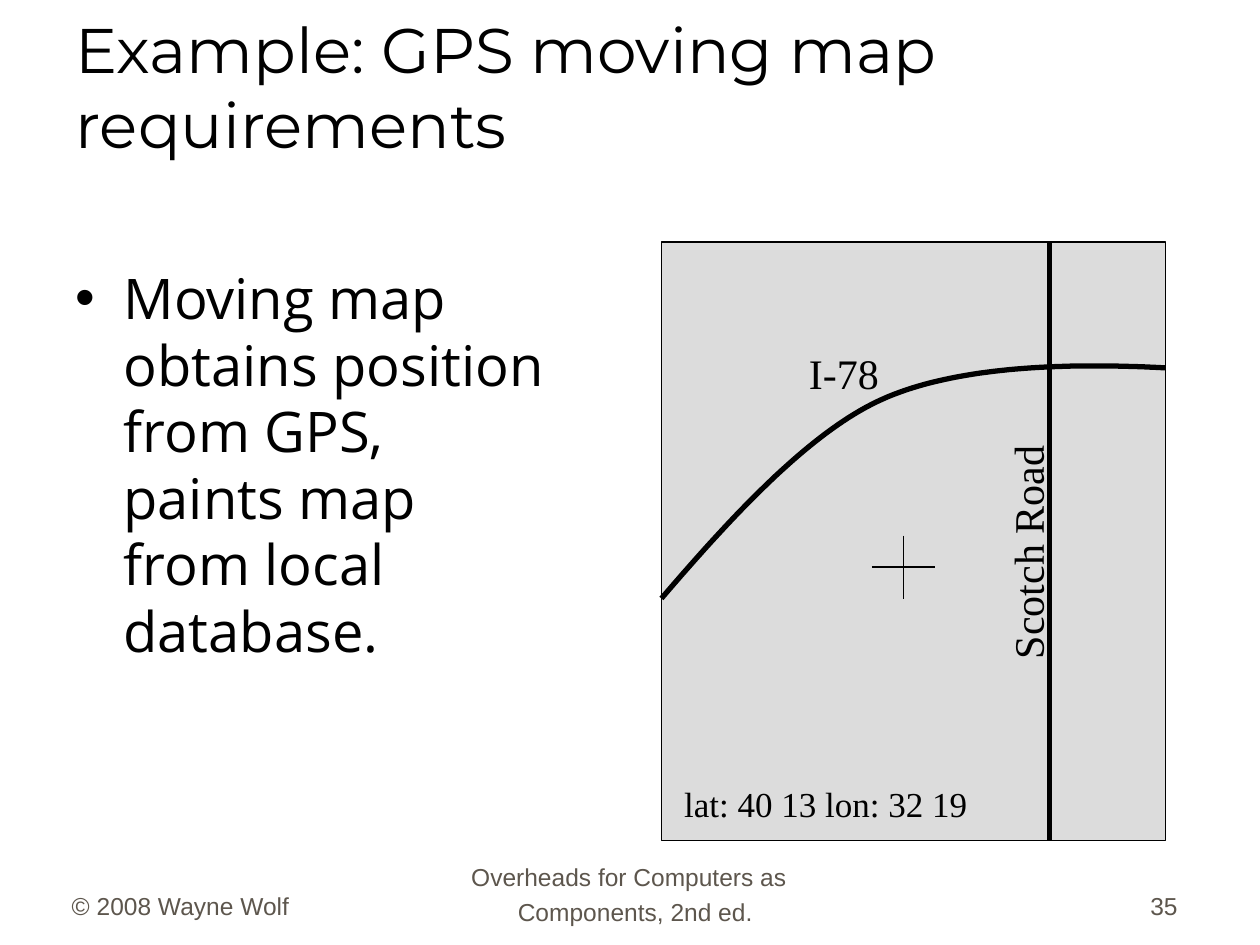
import pptx
import pptx.util
import pptx.dml.color
import pptx.enum.shapes
import pptx.enum.text
import pptx.oxml
import pptx.oxml.ns

BLACK = pptx.dml.color.RGBColor(0x00, 0x00, 0x00)
GREY = pptx.dml.color.RGBColor(0xDC, 0xDC, 0xDC)
BROWN = pptx.dml.color.RGBColor(0x5D, 0x56, 0x4D)

WIDTH, HEIGHT = 10, 7.5
MAP_LEFT, MAP_TOP, MAP_WIDTH, MAP_HEIGHT = 5.25, 1.92, 4, 4.75
MAP_RIGHT, MAP_BOTTOM = MAP_LEFT + MAP_WIDTH, MAP_TOP + MAP_HEIGHT
ROAD_X = 8.33
CROSS_X, CROSS_Y, CROSS_ARM = 7.17, 4.5, 0.25
HIGHWAY = [
    [(MAP_LEFT, 4.75), (5.79, 4.12), (6.42, 3.43), (7, 3.17)],
    [(7, 3.17), (7.6, 2.9), (8.5, 2.88), (MAP_RIGHT, 2.92)],
]

TITLE = dict(name="Montserrat", size=36, color=BLACK)
BODY = dict(name="Open Sans", size=32, color=BLACK)
ROAD_LABEL = dict(name="Times New Roman", size=24, color=BLACK)
POSITION = dict(name="Times New Roman", size=20, color=BLACK)
FOOTER = dict(name="Arial", size=14, color=BROWN)


def inches(*values):
    return [pptx.util.Inches(v) for v in values]


def write(sp, text, font, box, wrap=True, indent=(0, 0), spacing=1.0):
    sp.left, sp.top, sp.width, sp.height = inches(*box)
    tf = sp.text_frame
    frame = dict(margin_left=0, margin_top=0, margin_right=0, margin_bottom=0,
                 word_wrap=wrap, auto_size=pptx.enum.text.MSO_AUTO_SIZE.NONE,
                 vertical_anchor=pptx.enum.text.MSO_ANCHOR.TOP)
    for key, value in frame.items():
        setattr(tf, key, value)
    p = tf.paragraphs[0]
    paragraph = dict(alignment=pptx.enum.text.PP_ALIGN.LEFT,
                     space_before=pptx.util.Pt(0), line_spacing=spacing)
    for key, value in paragraph.items():
        setattr(p, key, value)
    pPr = p._p.get_or_add_pPr()
    for key, value in zip(("marL", "indent"), inches(*indent)):
        pPr.set(key, str(value))
    r = p.add_run()
    r.text = text
    for key, value in dict(name=font["name"], size=pptx.util.Pt(font["size"]),
                           bold=False).items():
        setattr(r.font, key, value)
    r.font.color.rgb = font["color"]
    return sp


def add_label(s, text, font, box, **options):
    return write(s.shapes.add_textbox(*inches(*box)), text, font, box, **options)


def add_line(s, start, end, weight):
    sp = s.shapes.add_connector(pptx.enum.shapes.MSO_CONNECTOR.STRAIGHT,
                                *inches(*start, *end))
    sp.line.color.rgb = BLACK
    sp.line.width = pptx.util.Pt(weight)
    sp._element.spPr.append(pptx.oxml.parse_xml(
        "<a:effectLst %s/>" % pptx.oxml.ns.nsdecls("a")))


def add_panel(s):
    sp = s.shapes.add_shape(pptx.enum.shapes.MSO_SHAPE.RECTANGLE,
                            *inches(MAP_LEFT, MAP_TOP, MAP_WIDTH, MAP_HEIGHT))
    sp.shadow.inherit = False
    sp.fill.solid()
    sp.fill.fore_color.rgb = GREY
    sp.line.color.rgb = BLACK
    sp.line.width = pptx.util.Pt(0.75)


def bezier(points, t):
    weights = ((1 - t) ** 3, 3 * t * (1 - t) ** 2, 3 * t ** 2 * (1 - t), t ** 3)
    return [sum(w * p[axis] for w, p in zip(weights, points))
            for axis in (0, 1)]


def add_curve(s, segments, weight, steps=40):
    points = [inches(*bezier(segment, i / steps))
              for segment in segments for i in range(1, steps + 1)]
    builder = s.shapes.build_freeform(*inches(*segments[0][0]))
    builder.add_line_segments(points, close=False)
    sp = builder.convert_to_shape()
    sp.shadow.inherit = False
    sp.fill.background()
    sp.line.color.rgb = BLACK
    sp.line.width = pptx.util.Pt(weight)


def add_map(s):
    add_panel(s)
    add_line(s, (ROAD_X, MAP_TOP), (ROAD_X, MAP_BOTTOM), 3)
    add_curve(s, HIGHWAY, 3)
    add_line(s, (CROSS_X, CROSS_Y - CROSS_ARM), (CROSS_X, CROSS_Y + CROSS_ARM), 0.75)
    add_line(s, (CROSS_X - CROSS_ARM, CROSS_Y), (CROSS_X + CROSS_ARM, CROSS_Y), 0.75)
    add_label(s, "lat: 40 13 lon: 32 19", POSITION, (5.43, 6.21, 2.27, 0.36), wrap=False)
    add_label(s, "I-78", ROAD_LABEL, (6.42, 2.76, 0.57, 0.43), wrap=False)
    sp = add_label(s, "Scotch Road", ROAD_LABEL, (7.24, 4.17, 1.72, 0.4),
                   wrap=False, spacing=1.13)
    sp.rotation = 270


def add_footer(s):
    add_label(s, "Overheads for Computers as Components, 2nd ed.", FOOTER,
              (3.73, 6.8, 2.53, 0.48), indent=(0.38, -0.37), spacing=1.19)
    add_label(s, "© 2008 Wayne Wolf", FOOTER, (0.56, 7.03, 1.77, 0.25),
              wrap=False, indent=(0.01, 0), spacing=1.17)
    add_label(s, "35", FOOTER, (9.1, 7.03, 0.27, 0.25),
              wrap=False, indent=(0.03, 0), spacing=1.17)


def main():
    prs = pptx.Presentation()
    prs.slide_width, prs.slide_height = inches(WIDTH, HEIGHT)
    s = prs.slides.add_slide(prs.slide_layouts[1])
    write(s.shapes.title, "Example: GPS moving map requirements", TITLE,
          (0.59, 0.08, 8.83, 1.23), indent=(0.01, 0))
    write(s.placeholders[1],
          "Moving map obtains position from GPS, paints map from local database.",
          BODY, (0.59, 2.1, 3.73, 2.69), indent=(0.39, -0.38),
          spacing=pptx.util.Pt(38))
    add_map(s)
    add_footer(s)
    prs.save("out.pptx")


if __name__ == "__main__":
    main()
